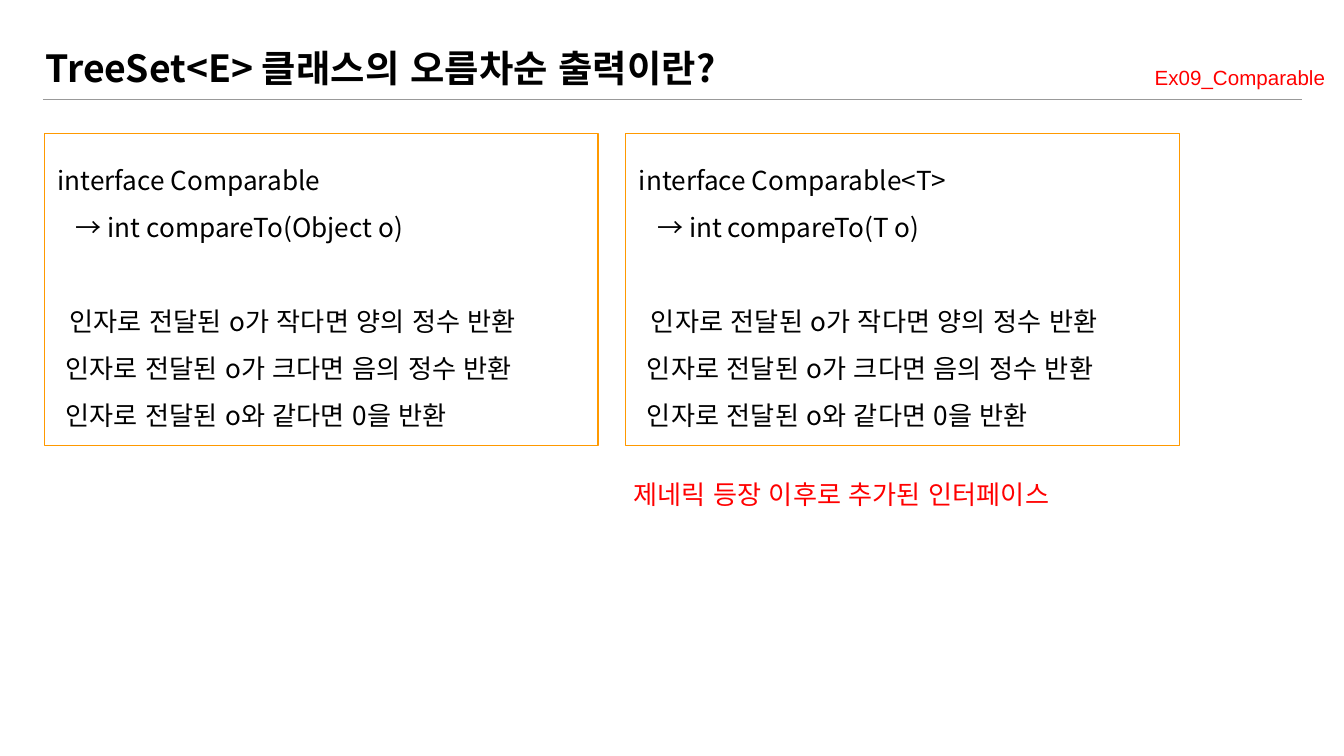
from lxml import etree
from pptx import Presentation
from pptx import util as u
from pptx.dml.color import RGBColor
from pptx.enum import shapes, text
from pptx.oxml.ns import qn

PX = 4572  # EMU per px, 200 px to the inch
COLORS = {"ink": "000000", "accent": "FF0000", "frame": "FF9900", "rule": "999999"}
KOREAN = "Noto Sans CJK KR"
# Each line: words, indent in px, space before in points
RULES = [
    ("인자로 전달된 o가 작다면 양의 정수 반환", 18, 25),
    ("인자로 전달된 o가 크다면 음의 정수 반환", 12, 0),
    ("인자로 전달된 o와 같다면 0을 반환", 12, 0),
]
PANELS = [
    ("interface Comparable", "→ int compareTo(Object o)"),
    ("interface Comparable<T>", "→ int compareTo(T o)"),
]


def px(*values):
    return [u.Emu(v * PX) for v in values]


def color(name):
    return RGBColor.from_string(COLORS[name])


def set_frame(tf, anchor=text.MSO_ANCHOR.TOP):
    inset = u.Emu(20 * PX)
    fmt = {"word_wrap": True, "auto_size": text.MSO_AUTO_SIZE.NONE,
           "vertical_anchor": anchor, "margin_left": inset,
           "margin_right": inset, "margin_top": inset, "margin_bottom": inset}
    for name, value in fmt.items():
        setattr(tf, name, value)


def write(p, words, size, ink="ink", font=KOREAN, bold=False, indent=0, **para):
    r = p.add_run()
    r.text = words
    for name, value in {"size": u.Pt(size), "name": font, "bold": bold}.items():
        setattr(r.font, name, value)
    r.font.color.rgb = color(ink)
    # Arial in the East Asian slot sets the width of spaces between Hangul
    etree.SubElement(r.font._element, qn("a:ea")).set("typeface", "Arial")
    fmt = {"alignment": text.PP_ALIGN.LEFT, "space_before": u.Pt(0), **para}
    for name, value in fmt.items():
        setattr(p, name, value)
    if indent:
        pPr = p._p.get_or_add_pPr()
        pPr.set("marL", str(indent * PX))
        pPr.set("indent", "0")


def add_title(s, words):
    sp = s.shapes.title
    sp.left, sp.top, sp.width, sp.height = px(48, 47, 1644, 108)
    set_frame(sp.text_frame)
    write(sp.text_frame.paragraphs[0], words, 20, bold=True)


def add_rule(s, x1, x2, y):
    line = s.shapes.add_connector(shapes.MSO_CONNECTOR.STRAIGHT, *px(x1, y, x2, y))
    line.line.color.rgb = color("rule")
    line.line.width = u.Pt(0.75)
    etree.SubElement(line._element.spPr, qn("a:effectLst"))


def add_panel(s, left, name, method):
    sp = s.shapes.add_shape(shapes.MSO_SHAPE.RECTANGLE, *px(left, 199, 824, 464))
    sp.shadow.inherit = False
    sp.fill.background()
    sp.line.color.rgb = color("frame")
    sp.line.width = u.Pt(0.75)
    tf = sp.text_frame
    set_frame(tf, text.MSO_ANCHOR.MIDDLE)
    lines = [(name, 0, 0), (method, 27, 0)] + RULES
    for i, (words, indent, gap) in enumerate(lines):
        p = tf.paragraphs[0] if i == 0 else tf.add_paragraph()
        write(p, words, 14, indent=indent, line_spacing=1.5, space_before=u.Pt(gap))


def add_note(s, box, words, size, **para):
    tf = s.shapes.add_textbox(*px(*box)).text_frame
    set_frame(tf)
    write(tf.paragraphs[0], words, size, ink="accent", font="Arial", **para)


def main():
    prs = Presentation()
    prs.slide_width, prs.slide_height = px(2000, 1125)
    s = prs.slides.add_slide(prs.slide_layouts[5])

    # Heading
    add_title(s, "TreeSet<E> 클래스의 오름차순 출력이란?")
    add_rule(s, 64, 1938, 148)

    # Interface before and after generics
    for i, panel in enumerate(PANELS):
        add_panel(s, 66 + i * 865, *panel)

    # Red notes
    add_note(s, (923, 692, 882, 108), "제네릭 등장 이후로 추가된 인터페이스", 14)
    add_note(s, (1336, 71, 656, 78), "Ex09_Comparable", 11,
             alignment=text.PP_ALIGN.RIGHT, line_spacing=1.15)

    prs.save("out.pptx")


if __name__ == "__main__":
    main()
